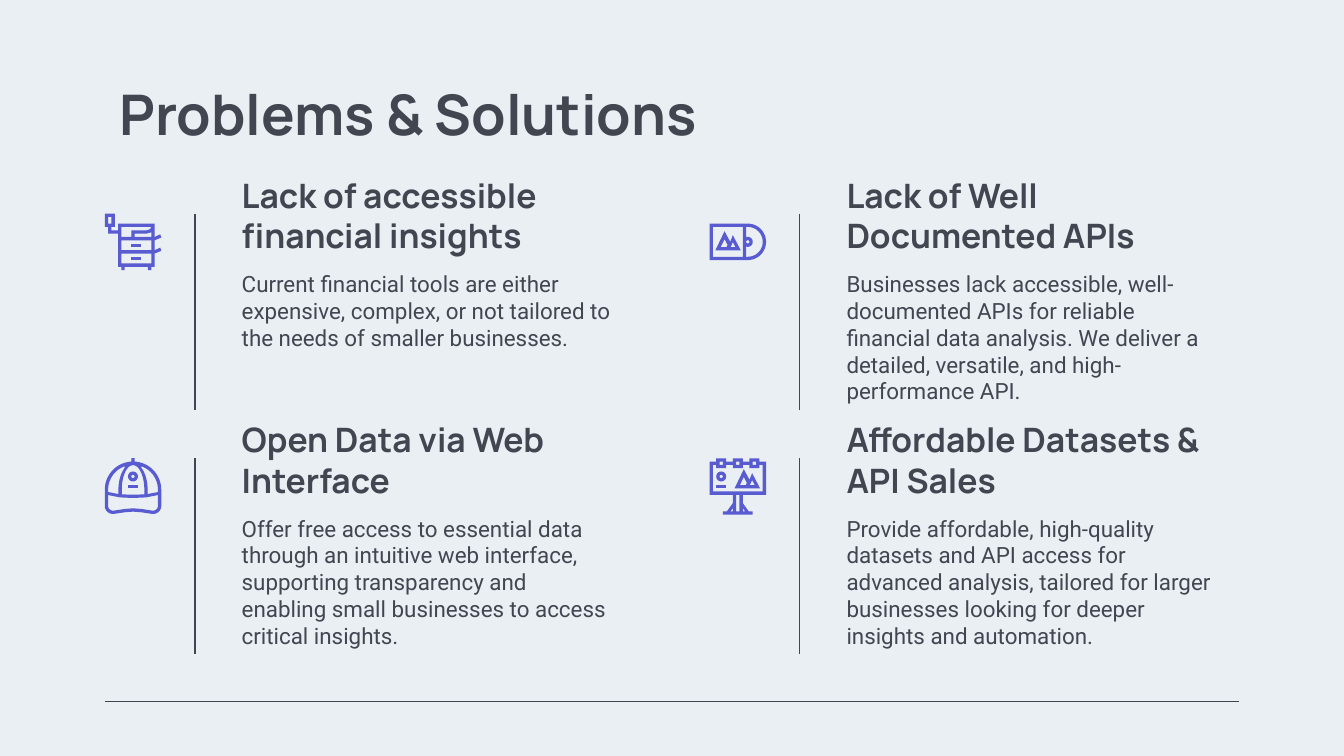
"""Build the "Problems & Solutions" slide: four icon, heading and text blocks on a 2 x 2 grid."""
from dataclasses import dataclass
from math import cos, radians, sin

from lxml import etree
from pptx import Presentation
from pptx.dml.color import RGBColor
from pptx.enum.shapes import MSO_CONNECTOR
from pptx.enum.text import MSO_ANCHOR
from pptx.oxml.ns import qn
from pptx.util import Inches, Pt

STRAIGHT = MSO_CONNECTOR.STRAIGHT
TOP, BOTTOM = MSO_ANCHOR.TOP, MSO_ANCHOR.BOTTOM

Point = tuple[float, float]
Outline = list[Point]
Piece = list[Outline]


@dataclass(frozen=True)
class Style:
    font: str
    size: float
    bold: bool = False


@dataclass(frozen=True)
class Theme:
    background: RGBColor = RGBColor.from_string("EAEFF4")
    ink: RGBColor = RGBColor.from_string("424651")
    accent: RGBColor = RGBColor.from_string("595BD1")
    title: Style = Style("Manrope", 30, True)
    heading: Style = Style("Manrope", 18, True)
    body: Style = Style("Roboto", 12)
    rule: float = 0.75


@dataclass(frozen=True)
class Grid:
    width: float = 10
    height: float = 10 * 9 / 16
    left: float = 0.78
    top: float = 1.59
    column: float = 4.5
    row: float = 1.82
    rule_dx: float = 0.67
    rule_height: float = 1.46
    text_dx: float = 0.92
    body_dy: float = 0.32
    text_width: float = 2.99
    heading_height: float = 0.41
    body_height: float = 1.14
    icon: float = 0.42


THEME, GRID = Theme(), Grid()
ICON_UNITS = 17
SUBUNITS = 100


@dataclass(frozen=True)
class Block:
    column: int
    row: int
    icon: list[Piece]
    heading: str
    body: str
    heading_width: float = GRID.text_width


def rect(x: float, y: float, w: float, h: float) -> Outline:
    return [(x, y), (x + w, y), (x + w, y + h), (x, y + h)]


def arc(cx: float, cy: float, rx: float, ry: float, start: float, end: float, steps: int = 24) -> Outline:
    angles = [radians(start + (end - start) * i / steps) for i in range(steps + 1)]
    return [(cx + rx * cos(a), cy + ry * sin(a)) for a in angles]


def circle(cx: float, cy: float, radius: float) -> Outline:
    return arc(cx, cy, radius, radius, 0, 360)


def mirror(outline: Outline) -> Outline:
    return [(ICON_UNITS - x, y) for x, y in outline]


def eye(cx: float, cy: float) -> Piece:
    return [circle(cx, cy, 1.5), circle(cx, cy, 0.5)]


def dash(x: float, y: float) -> Piece:
    return [rect(x, y, 3, 1)]


def mountains(x: float, y: float) -> Piece:
    outlines = [
        [(4.5, 3.2), (2.8, 0), (0, 5.8), (7.7, 5.8), (5.3, 1.2)],
        [(1.6, 4.8), (2.8, 2.4), (3.7, 4.1), (3.4, 4.8)],
        [(4.6, 4.8), (5.3, 3.3), (6.1, 4.8)],
    ]
    return [[(x + px, y + py) for px, py in o] for o in outlines]


def cabinet() -> list[Piece]:
    frame = [(1, 6), (4, 6), (4, 16), (5, 16), (5, 17), (6, 17), (6, 16), (13, 16), (13, 17),
             (14, 17), (14, 16), (15, 16), (15, 12), (17, 11.2), (16.7, 10.2), (15, 11), (15, 8),
             (17, 7.2), (16.7, 6.2), (15, 7), (15, 3), (4, 3), (4, 5), (2, 5), (2, 4), (3, 4),
             (3, 0), (0, 0), (0, 4), (1, 4)]
    top_drawer = [(14, 4), (13.6, 4.7), (12.6, 5), (8, 5), (8, 7), (5, 7), (5, 4)]
    sleeve = [(9, 7), (9, 6), (12.6, 6), (14, 5.6), (14, 7)]
    holes = [rect(5, 8, 9, 3), rect(5, 12, 9, 3), rect(1, 1, 1, 2)]
    return [dash(8, 13), dash(8, 9), [frame, top_drawer, sleeve, *holes]]


def disc_case() -> list[Piece]:
    edge = [(0, 3), *arc(11.5, 8.5, 5.5, 5.5, -90, 90), (0, 14)]
    disc = [*arc(11.5, 8.5, 4.5, 4.5, -90, 90), (11, 13), *arc(11.5, 8.5, 1.5, 1.5, 110, -110), (11, 4)]
    return [mountains(1.7, 5.3), [edge, rect(1, 4, 9, 9), disc, circle(11.5, 8.5, 0.5)]]


def brim(inset: float) -> Outline:
    rx, ry = 2.5 - inset, 2.4 - inset
    wave = [(x, y - inset) for x, y in ((11, 16.3), (8.5, 16.1), (6, 16.3))]
    return [*arc(14.5, 14.4, rx, ry, 0, 100), *wave, *arc(2.5, 14.4, rx, ry, 80, 180)]


def cap() -> list[Piece]:
    dome = [*arc(8.5, 9.5, 8.5, 8.5, 180, 266.6), *rect(8, 0, 1, 1)[:2],
            *arc(8.5, 9.5, 8.5, 8.5, 273.4, 360), *brim(0)]
    band = [*brim(1), (1, 11.1), (4.5, 11.8), (8.5, 12), (12.5, 11.8), (16, 11.1)]
    front = [*arc(8.5, 9.5, 3.4, 7.4, 180, 360), (11.9, 10.9), (8.5, 11), (5.1, 10.9)]
    side = [*arc(8.5, 9.5, 7.5, 7.5, 180, 250), *arc(8.5, 9.5, 4.4, 8, 235, 180), (4.1, 10.8), (1, 10.2)]
    return [dash(7, 8), eye(8.5, 5.5), [dome, band, front, side, mirror(side)]]


def billboard() -> list[Piece]:
    frame = [(7, 11), (7, 13.5), (5.2, 16), (4, 16), (4, 17), (13, 17), (13, 16), (11.8, 16),
             (10, 13.5), (10, 11), (17, 11), (17, 1)]
    panel = [(1, 10), (1, 2)]
    for x in (2, 7, 12):
        panel += [(x, 2), (x, 3), (x + 3, 3), (x + 3, 2)]
    for x in (12, 7, 2):
        frame += [(x + 3, 1), (x + 3, 0), (x, 0), (x, 1)]
    frame += [(0, 1), (0, 11)]
    panel += [(16, 2), (16, 10)]
    lamps = [rect(x, 1, 1, 1) for x in (3, 8, 13)]
    brace = [(7, 15), (7, 16), (6.3, 16)]
    post = [brace, mirror(brace), rect(8, 11, 1, 5)]
    return [eye(3.5, 5.5), dash(2, 8), mountains(7.5, 3.3), [frame, panel, *lamps, *post]]


BLOCKS = (
    Block(0, 0, cabinet(), "Lack of accessible financial insights",
          "Current financial tools are either expensive, complex, or not tailored to the needs of smaller businesses.",
          heading_width=3.19),
    Block(1, 0, disc_case(), "Lack of Well Documented APIs",
          "Businesses lack accessible, well-documented APIs for reliable financial data analysis. "
          "We deliver a detailed, versatile, and high-performance API."),
    Block(0, 1, cap(), "Open Data via Web Interface",
          "Offer free access to essential data through an intuitive web interface, supporting transparency "
          "and enabling small businesses to access critical insights."),
    Block(1, 1, billboard(), "Affordable Datasets & API Sales",
          "Provide affordable, high-quality datasets and API access for advanced analysis, "
          "tailored for larger businesses looking for deeper insights and automation."),
)


def add_text(s, text: str, style: Style, x: float, y: float, w: float, h: float, anchor=TOP) -> None:
    tf = s.shapes.add_textbox(Inches(x), Inches(y), Inches(w), Inches(h)).text_frame
    tf.word_wrap, tf.vertical_anchor = True, anchor
    tf.margin_left = tf.margin_right = tf.margin_top = tf.margin_bottom = Inches(0.1)
    p = tf.paragraphs[0]
    p.text = text
    p.font.name, p.font.size, p.font.bold = style.font, Pt(style.size), style.bold
    p.font.color.rgb = THEME.ink


def add_rule(s, x1: float, y1: float, x2: float, y2: float) -> None:
    line = s.shapes.add_connector(STRAIGHT, Inches(x1), Inches(y1), Inches(x2), Inches(y2))
    line.line.color.rgb, line.line.width = THEME.ink, Pt(THEME.rule)
    etree.SubElement(line._element.spPr, qn("a:effectLst"))


def add_piece(s, piece: Piece, x: float, y: float) -> None:
    outlines = [[(px * SUBUNITS, py * SUBUNITS) for px, py in o] for o in piece]
    scale = Inches(GRID.icon) / ICON_UNITS / SUBUNITS
    builder = s.shapes.build_freeform(*outlines[0][0], scale=scale)
    builder.add_line_segments(outlines[0][1:])
    for outline in outlines[1:]:
        builder.move_to(*outline[0])
        builder.add_line_segments(outline[1:])
    sp = builder.convert_to_shape(Inches(x), Inches(y))
    sp.shadow.inherit = False
    sp.fill.solid()
    sp.fill.fore_color.rgb = THEME.accent
    sp.line.fill.background()


def add_block(s, block: Block) -> None:
    x, y = GRID.left + block.column * GRID.column, GRID.top + block.row * GRID.row
    text_x, rule_x = x + GRID.text_dx, x + GRID.rule_dx
    add_text(s, block.heading, THEME.heading, text_x, y, block.heading_width, GRID.heading_height, BOTTOM)
    add_text(s, block.body, THEME.body, text_x, y + GRID.body_dy, GRID.text_width, GRID.body_height)
    add_rule(s, rule_x, y, rule_x, y + GRID.rule_height)
    for piece in block.icon:
        add_piece(s, piece, x, y)


def main() -> None:
    prs = Presentation()
    prs.slide_width, prs.slide_height = Inches(GRID.width), Inches(GRID.height)
    s = prs.slides.add_slide(prs.slide_layouts[6])
    s.background.fill.solid()
    s.background.fill.fore_color.rgb = THEME.background
    add_rule(s, GRID.left, 5.22, GRID.width - GRID.left, 5.22)
    add_text(s, "Problems & Solutions", THEME.title, 0.79, 0.49, 8.43, 0.63)
    for block in BLOCKS:
        add_block(s, block)
    prs.save("out.pptx")


if __name__ == "__main__":
    main()
